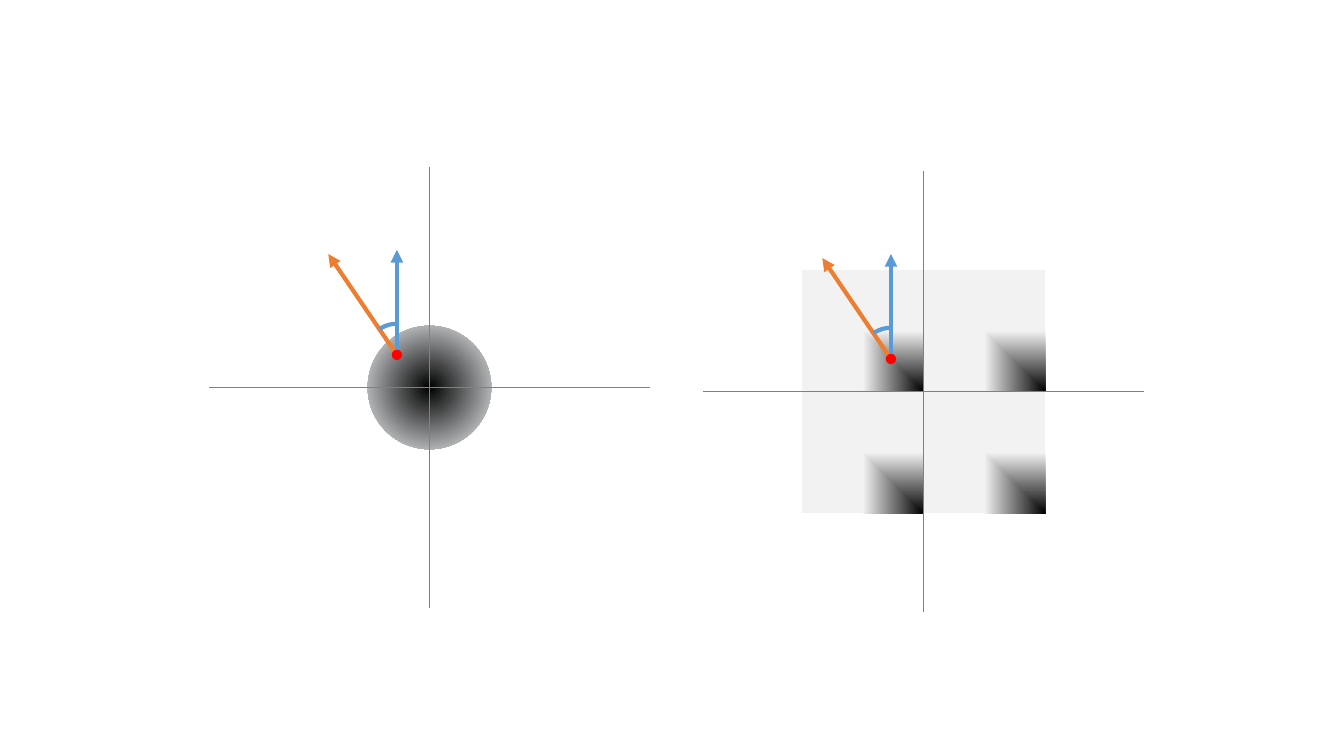
from dataclasses import dataclass

from lxml import etree
from pptx import Presentation
from pptx import util as u
from pptx.dml.color import RGBColor
from pptx.enum import shapes as kinds
from pptx.oxml import ns
from pptx.shapes.autoshape import Shape
from pptx.shapes.shapetree import GroupShapes

Pt = u.Pt
Kind = kinds.MSO_SHAPE


@dataclass(frozen=True)
class Theme:
    axis: str = "808080"
    reference: str = "5B9BD5"
    direction: str = "ED7D31"
    sample: str = "FF0000"
    core: str = "000000"
    tile_edge: str = "F2F2F2"
    disc_edge: str = "F7FAFD"
    thin: float = 0.5
    thick: float = 3


@dataclass(frozen=True)
class Point:
    x: float
    y: float

    def moved(self, dx: float, dy: float) -> "Point":
        return Point(self.x + dx, self.y + dy)


@dataclass(frozen=True)
class Stroke:
    start: Point
    end: Point
    color: str
    width: float
    arrow: bool = False


@dataclass(frozen=True)
class Tile:
    column: int
    row: int
    rotation: int


THEME = Theme()
TILE_SIZE = 86.8
DISC_SIZE = 88.2
AXIS_REACH = 157.5
SAMPLE_OFFSET = -23.3
ARC_SIZE = 44.6
DOT_SIZE = 7.4
DISC_CENTER = Point(306.8, 276.8)
TILES_CENTER = Point(659.7, 279.7)
TILES = (Tile(-1, -1, 0), Tile(0, -1, 90), Tile(0, 0, 180), Tile(-1, 0, 270))


def draw_stroke(group: GroupShapes, stroke: Stroke) -> None:
    start, end = stroke.start, stroke.end
    connector = group.add_connector(
        kinds.MSO_CONNECTOR.STRAIGHT, Pt(start.x), Pt(start.y), Pt(end.x), Pt(end.y)
    )
    connector.line.color.rgb = RGBColor.from_string(stroke.color)
    connector.line.width = Pt(stroke.width)
    if stroke.arrow:
        etree.SubElement(connector.line._get_or_add_ln(), ns.qn("a:tailEnd"), type="triangle")
    etree.SubElement(connector._element.spPr, ns.qn("a:effectLst"))


def draw_centered(group: GroupShapes, kind: Kind, center: Point, size: float) -> Shape:
    corner = center.moved(-size / 2, -size / 2)
    shape = group.add_shape(kind, Pt(corner.x), Pt(corner.y), Pt(size), Pt(size))
    shape.shadow.inherit = False
    shape.line.fill.background()
    return shape


def fill_radiating(shape: Shape, edge: str, form: str, focus: dict[str, str]) -> None:
    shape.fill.gradient()
    for stop, color, position in zip(shape.fill.gradient_stops, (THEME.core, edge), (0, 1)):
        stop.color.rgb = RGBColor.from_string(color)
        stop.position = position
    gradient = shape._element.spPr.find(ns.qn("a:gradFill"))
    gradient.remove(gradient.find(ns.qn("a:lin")))
    spread = etree.SubElement(gradient, ns.qn("a:path"), path=form)
    etree.SubElement(spread, ns.qn("a:fillToRect"), focus)


def draw_tiles(group: GroupShapes, center: Point) -> None:
    for tile in TILES:
        middle = center.moved((tile.column + 0.5) * TILE_SIZE, (tile.row + 0.5) * TILE_SIZE)
        square = draw_centered(group, Kind.RECTANGLE, middle, TILE_SIZE)
        square.rotation = tile.rotation
        fill_radiating(square, THEME.tile_edge, "rect", {"l": "100000", "t": "100000"})


def draw_disc(group: GroupShapes, center: Point) -> None:
    disc = draw_centered(group, Kind.OVAL, center, DISC_SIZE)
    fill_radiating(disc, THEME.disc_edge, "circle", dict.fromkeys("ltrb", "50000"))


def draw_angle(group: GroupShapes, center: Point) -> None:
    sample = center.moved(SAMPLE_OFFSET, SAMPLE_OFFSET)
    for dx, dy in ((AXIS_REACH, 0), (0, AXIS_REACH)):
        axis = Stroke(center.moved(-dx, -dy), center.moved(dx, dy), THEME.axis, THEME.thin)
        draw_stroke(group, axis)
    draw_stroke(group, Stroke(sample, sample.moved(-49, -72), THEME.direction, THEME.thick, True))

    arc = draw_centered(group, Kind.ARC, sample, ARC_SIZE)
    arc.rotation = 270
    arc.adjustments[0] = 195.98
    arc.adjustments[1] = 0
    arc.fill.background()
    arc.line.color.rgb = RGBColor.from_string(THEME.reference)
    arc.line.width = Pt(THEME.thick)

    draw_stroke(group, Stroke(sample, sample.moved(0, -75), THEME.reference, THEME.thick, True))
    dot = draw_centered(group, Kind.OVAL, sample, DOT_SIZE)
    dot.fill.solid()
    dot.fill.fore_color.rgb = RGBColor.from_string(THEME.sample)


def main() -> None:
    deck = Presentation()
    deck.slide_width, deck.slide_height = Pt(960), Pt(540)
    slide = deck.slides.add_slide(deck.slide_layouts[6])
    draw_tiles(slide.shapes.add_group_shape().shapes, TILES_CENTER)
    draw_angle(slide.shapes.add_group_shape().shapes, TILES_CENTER)
    disc_panel = slide.shapes.add_group_shape().shapes
    draw_disc(disc_panel, DISC_CENTER)
    draw_angle(disc_panel, DISC_CENTER)
    deck.save("out.pptx")


if __name__ == "__main__":
    main()
